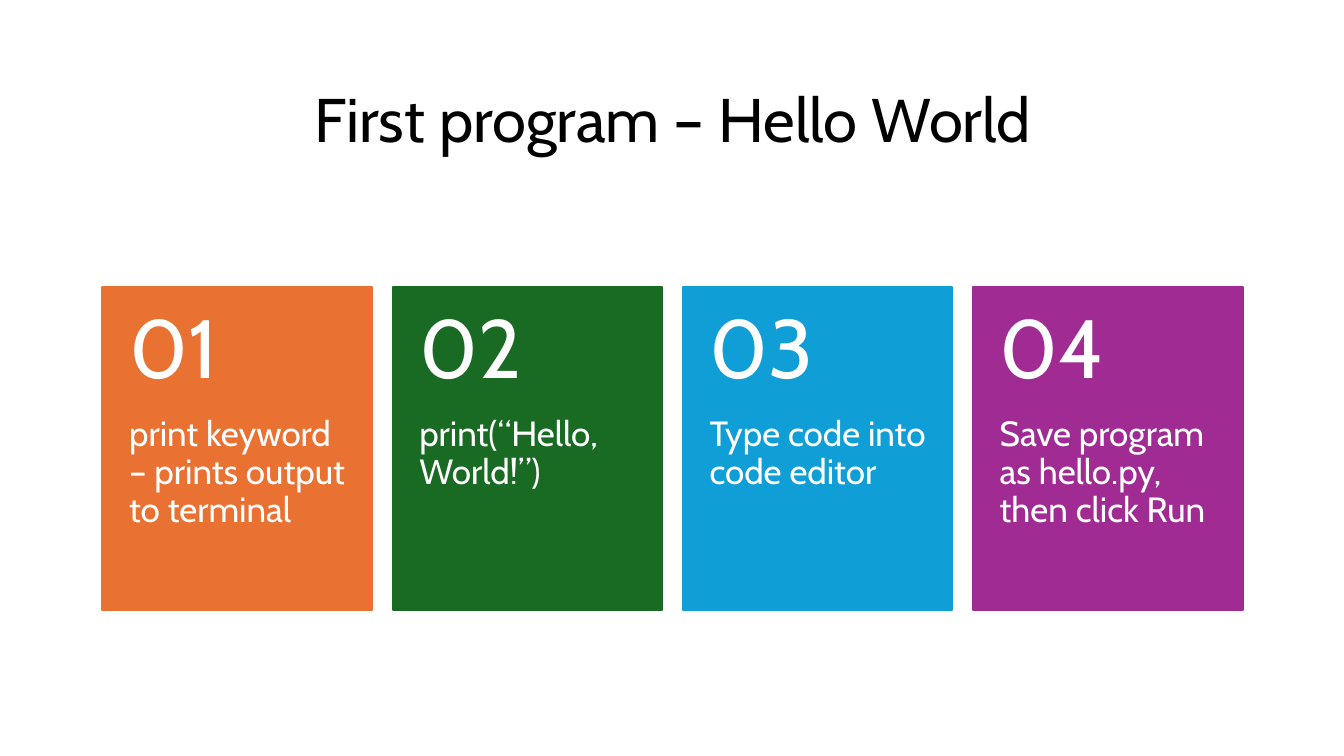
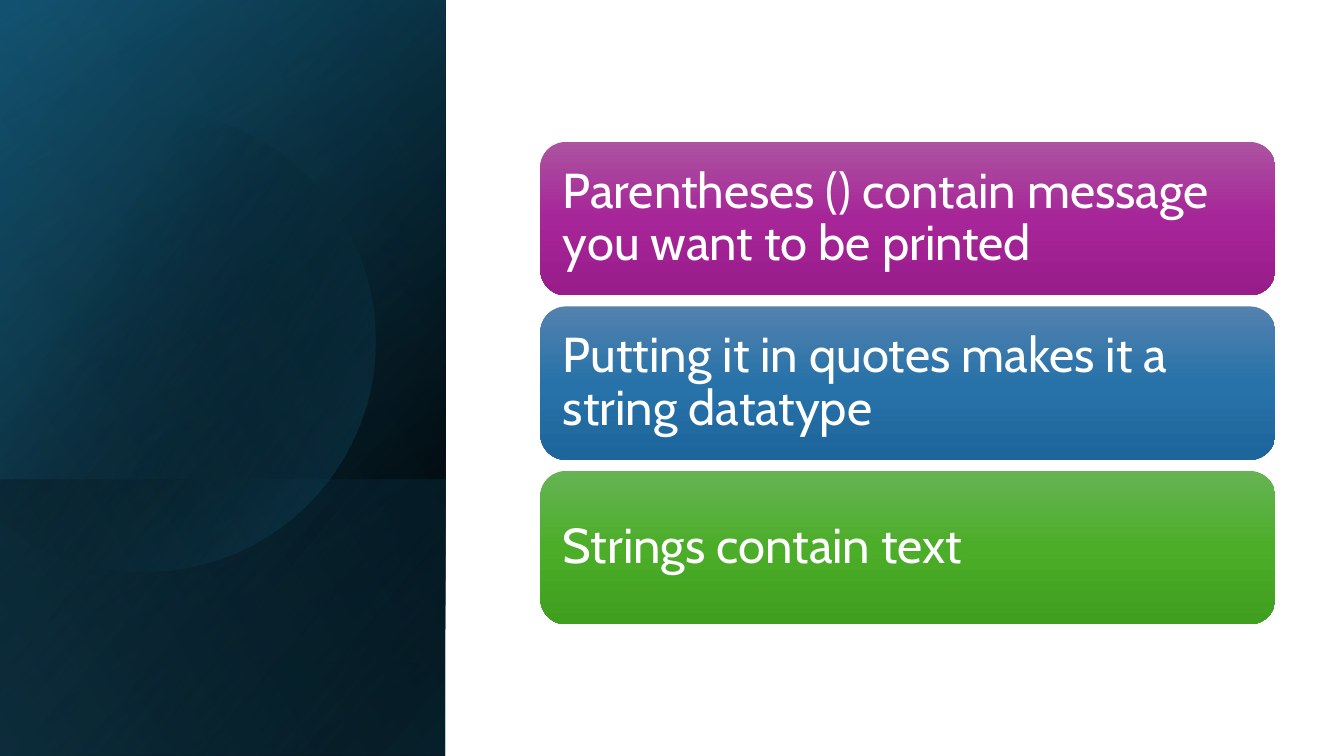
"""Build two slides on a first Python program."""
import math

import lxml.etree
import pptx
import pptx.dml.color
import pptx.enum.shapes
import pptx.enum.text
import pptx.oxml.ns
import pptx.util

Pt = pptx.util.Pt
RGB = pptx.dml.color.RGBColor
KIND = pptx.enum.shapes.MSO_SHAPE
ALIGN = pptx.enum.text.PP_ALIGN
ANCHOR = pptx.enum.text.MSO_ANCHOR

BLACK = RGB(0, 0, 0)
WHITE = RGB(255, 255, 255)
ORANGE = RGB(0xE9, 0x71, 0x32)
GREEN = RGB(0x19, 0x6B, 0x24)
BLUE = RGB(0x0F, 0x9E, 0xD5)
PURPLE = RGB(0xA0, 0x2B, 0x93)
NAVY = RGB(0x10, 0x48, 0x62)
TEAL = RGB(0x15, 0x60, 0x82)
SKY = RGB(0x46, 0xB1, 0xE1)
PLUM = [RGB(0xAC, 0x53, 0xA0), RGB(0xA6, 0x25, 0x98), RGB(0x99, 0x1C, 0x8B)]
STEEL = [RGB(0x53, 0x82, 0xAF), RGB(0x27, 0x72, 0xA9), RGB(0x1D, 0x66, 0x9C)]
LEAF = [RGB(0x66, 0xB3, 0x54), RGB(0x4B, 0xAD, 0x28), RGB(0x40, 0x9F, 0x1E)]

FONT = "Cabin"
WIDE, HIGH = 960, 540
SIDE = 318.2

TITLE = {"size": Pt(44), "color": BLACK}
COUNT = {"size": Pt(59), "color": WHITE}
BODY = {"size": Pt(25), "color": WHITE}
POINT = {"size": Pt(35), "color": WHITE}

CARDS = [
    (ORANGE, "print keyword – prints output to terminal"),
    (GREEN, "print(“Hello, World!”)"),
    (BLUE, "Type code into code editor"),
    (PURPLE, "Save program as hello.py, then click Run"),
]
POINTS = [
    (PLUM, "Parentheses () contain message you want to be printed"),
    (STEEL, "Putting it in quotes makes it a string datatype"),
    (LEAF, "Strings contain text"),
]


def put(item, values):
    """Set each named attribute of an item."""
    for name, value in values.items():
        setattr(item, name, value)


def write(shape, text, style, pads, anchor=ANCHOR.MIDDLE, align=ALIGN.LEFT):
    """Write one styled paragraph into a shape."""
    frame = shape.text_frame
    sides = ("margin_left", "margin_top", "margin_right", "margin_bottom")
    put(frame, {"word_wrap": True, "vertical_anchor": anchor})
    put(frame, {side: Pt(pad) for side, pad in zip(sides, pads)})
    para = frame.paragraphs[0]
    put(para, {"alignment": align, "line_spacing": 0.9})
    run = para.add_run()
    run.text = text
    put(run.font, {"name": FONT, "size": style["size"]})
    run.font.color.rgb = style["color"]


def label(slide, box, *args, **opts):
    """Add a text box."""
    write(slide.shapes.add_textbox(*map(Pt, box)), *args, **opts)


def block(slide, kind, box):
    """Add a preset shape with no shadow or line."""
    shape = slide.shapes.add_shape(kind, *map(Pt, box))
    bare(shape)
    return shape


def bare(shape):
    """Take the shadow and line off a shape."""
    shape.shadow.inherit = False
    shape.line.fill.background()


def blend(shape, stops, angle):
    """Fill a shape with a gradient of (place, colour, opacity) stops."""
    tag = pptx.oxml.ns.qn
    grad = lxml.etree.Element(tag("a:gradFill"), rotWithShape="1")
    group = lxml.etree.SubElement(grad, tag("a:gsLst"))
    for place, color, alpha in stops:
        stop = lxml.etree.SubElement(group, tag("a:gs"), pos=str(place * 1000))
        tint = lxml.etree.SubElement(stop, tag("a:srgbClr"), val=str(color))
        if alpha < 100:
            lxml.etree.SubElement(tint, tag("a:alpha"), val=str(alpha * 1000))
    lxml.etree.SubElement(grad, tag("a:lin"), ang=str(angle * 60000), scaled="0")
    shape._element.spPr.insert(2, grad)


def layer(slide, top, stops, angle, flip=True):
    """Lay a turned gradient over the side panel from top to slide foot."""
    span = HIGH - top
    box = ((SIDE - span) / 2, top + (span - SIDE) / 2, span, SIDE)
    shape = block(slide, KIND.RECTANGLE, box)
    shape.rotation = 90
    if flip:
        shape._element.spPr.get_or_add_xfrm().set("flipH", "1")
    blend(shape, stops, angle)


def disc(slide, mid, level, radius, stops, angle):
    """Draw a disc cut off by the left slide edge."""
    limit = math.acos(-mid / radius)
    steps = 120
    turns = [limit * (2 * i / steps - 1) for i in range(steps + 1)]
    dots = [(Pt(mid + radius * math.cos(t)), Pt(level + radius * math.sin(t)))
            for t in turns]
    pen = slide.shapes.build_freeform(*dots[0])
    pen.add_line_segments(dots[1:], close=True)
    shape = pen.convert_to_shape()
    bare(shape)
    blend(shape, stops, angle)


def card(slide, index, color, text):
    """Add a numbered card."""
    left, top, width, head, foot = 73.2 + 207.3 * index, 205.2, 192.5, 92.2, 138.2
    shape = block(slide, KIND.RECTANGLE, (left, top, width, head + foot))
    shape.fill.solid()
    shape.fill.fore_color.rgb = color
    shape.line.color.rgb = color
    shape.line.width = Pt(1.5)
    label(slide, (left, top + head, width, foot), text, BODY,
          (19, 0, 19, 26), anchor=ANCHOR.TOP)
    label(slide, (left, top, width, head), f"{index + 1:02}", COUNT,
          (19, 13, 19, 13))


def pill(slide, index, colors, text):
    """Add a rounded statement."""
    shape = block(slide, KIND.ROUNDED_RECTANGLE,
                  (386, 101.4 + 117.5 * index, 525, 109.6))
    blend(shape, [(50 * i, color, 100) for i, color in enumerate(colors)], 90)
    write(shape, text, POINT, (10.8,) * 4)


def panel(slide):
    """Build the dark side panel."""
    layer(slide, 0, [(8, BLACK, 100), (100, NAVY, 100)], 50)
    layer(slide, 0, [(0, BLACK, 0), (99, TEAL, 46)], 30)
    layer(slide, 342.7, [(2, TEAL, 29), (100, BLACK, 30)], 130, flip=False)
    disc(slide, 103.5, 243.5, 165, [(29, BLACK, 0), (100, TEAL, 43)], 30)
    layer(slide, 0, [(0, BLACK, 0), (99, SKY, 11)], 120)


def main():
    """Build and save the deck."""
    deck = pptx.Presentation()
    put(deck, {"slide_width": Pt(WIDE), "slide_height": Pt(HIGH)})
    first, second = [deck.slides.add_slide(deck.slide_layouts[6])
                     for _ in range(2)]
    label(first, (120, 43.2, 721.6, 89.3), "First program – Hello World",
          TITLE, (7.2, 3.6, 7.2, 3.6), align=ALIGN.CENTER)
    for index, (color, text) in enumerate(CARDS):
        card(first, index, color, text)
    panel(second)
    for index, (colors, text) in enumerate(POINTS):
        pill(second, index, colors, text)
    deck.save("out.pptx")


if __name__ == "__main__":
    main()
